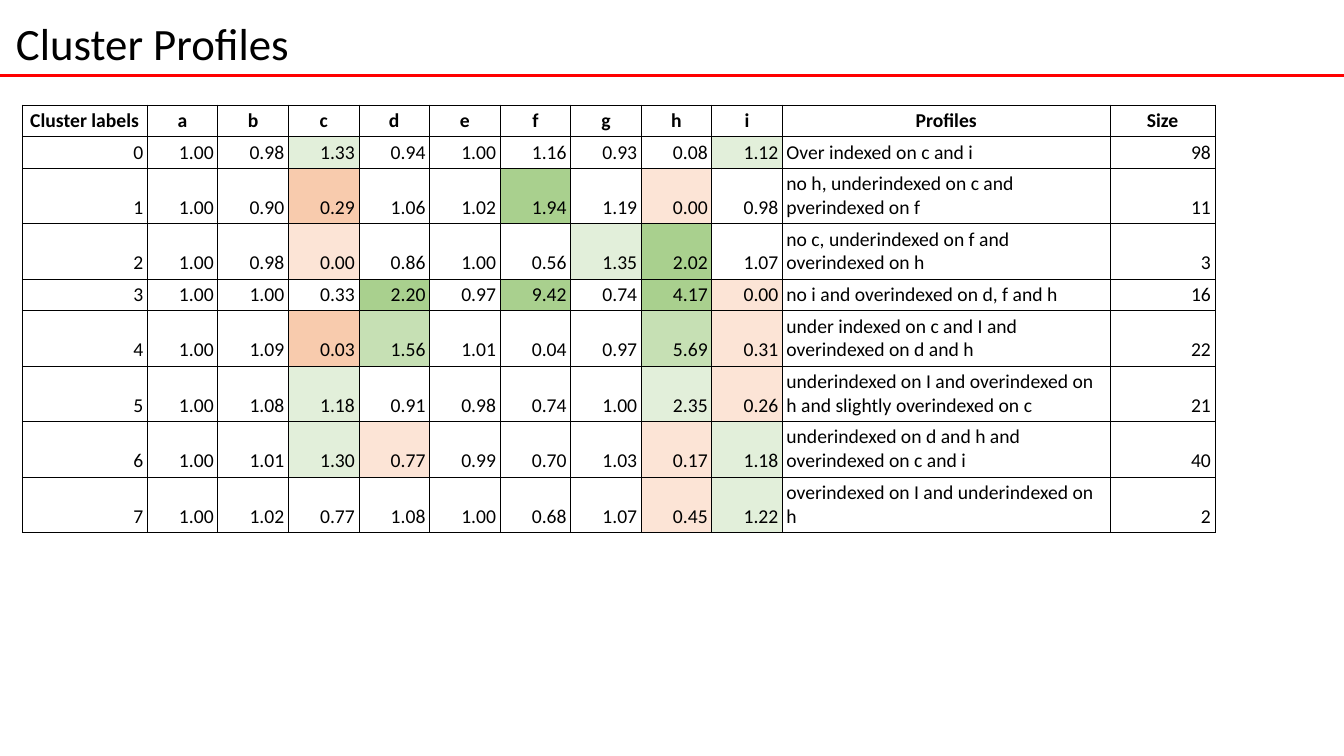
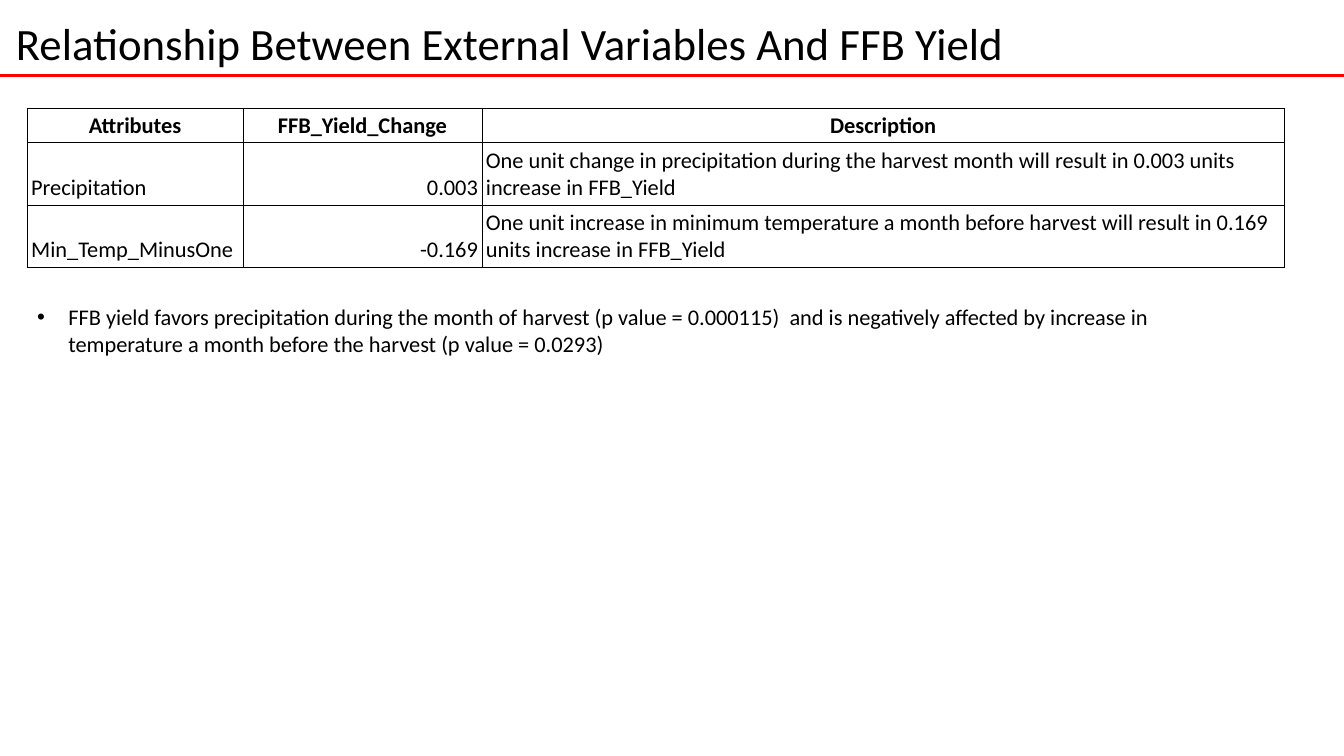
"""Build two slides on cluster profiles and yield drivers."""
from dataclasses import dataclass, field

from lxml.etree import SubElement
from pptx import Presentation
from pptx.dml.color import RGBColor
from pptx.enum.shapes import MSO_CONNECTOR
from pptx.enum.text import MSO_ANCHOR, MSO_AUTO_SIZE, PP_ALIGN
from pptx.oxml.ns import qn
from pptx.slide import Slide
from pptx.table import _Cell as Cell
from pptx.text.text import _Paragraph as Paragraph
from pptx.util import Inches, Pt


@dataclass(frozen=True)
class Theme:
    font: str = "Calibri"
    ink: str = "000000"
    rule: str = "FF0000"
    over: str = "E2EFDA"
    well_over: str = "C6E0B4"
    far_over: str = "A9D08E"
    under: str = "FCE4D6"
    far_under: str = "F8CBAD"
    title_size: int = 32
    body_size: int = 16
    dense_size: int = 14
    rule_width: float = 2.25
    border_width: float = 0.5
    cell_inset: float = 0.04


THEME = Theme()
SLIDE_WIDTH, SLIDE_HEIGHT = 13.33, 7.5
LETTERS = "abcdefghi"


@dataclass(frozen=True)
class Cluster:
    indexes: str
    profile: str
    size: int
    tints: dict[str, str] = field(default_factory=dict)


@dataclass(frozen=True)
class Grid:
    left: float
    top: float
    widths: list[float]
    heights: list[float]
    size: int
    rows: list[list[str]]
    numeric: set[int]
    tints: dict[tuple[int, int], str] = field(default_factory=dict)


CLUSTERS = [
    Cluster("1.00 0.98 1.33 0.94 1.00 1.16 0.93 0.08 1.12",
            "Over indexed on c and i", 98,
            {"c": THEME.over, "i": THEME.over}),
    Cluster("1.00 0.90 0.29 1.06 1.02 1.94 1.19 0.00 0.98",
            "no h, underindexed on c and pverindexed on f", 11,
            {"c": THEME.far_under, "f": THEME.far_over, "h": THEME.under}),
    Cluster("1.00 0.98 0.00 0.86 1.00 0.56 1.35 2.02 1.07",
            "no c, underindexed on f and overindexed on h", 3,
            {"c": THEME.under, "g": THEME.over, "h": THEME.far_over}),
    Cluster("1.00 1.00 0.33 2.20 0.97 9.42 0.74 4.17 0.00",
            "no i and overindexed on d, f and h", 16,
            {"d": THEME.far_over, "f": THEME.far_over,
             "h": THEME.far_over, "i": THEME.under}),
    Cluster("1.00 1.09 0.03 1.56 1.01 0.04 0.97 5.69 0.31",
            "under indexed on c and I and overindexed on d and h", 22,
            {"c": THEME.far_under, "d": THEME.well_over,
             "h": THEME.well_over, "i": THEME.under}),
    Cluster("1.00 1.08 1.18 0.91 0.98 0.74 1.00 2.35 0.26",
            "underindexed on I and overindexed on h and slightly overindexed on c", 21,
            {"c": THEME.over, "h": THEME.over, "i": THEME.under}),
    Cluster("1.00 1.01 1.30 0.77 0.99 0.70 1.03 0.17 1.18",
            "underindexed on d and h and overindexed on c and i", 40,
            {"c": THEME.over, "d": THEME.under, "h": THEME.under, "i": THEME.over}),
    Cluster("1.00 1.02 0.77 1.08 1.00 0.68 1.07 0.45 1.22",
            "overindexed on I and underindexed on h", 2,
            {"h": THEME.under, "i": THEME.over}),
]

PROFILE_GRID = Grid(
    left=0.22, top=1.04,
    widths=[1.24] + [0.7] * len(LETTERS) + [3.25, 1.04],
    heights=[0.31, 0.31, 0.55, 0.55, 0.31] + [0.55] * 4,
    size=THEME.dense_size,
    rows=[["Cluster labels", *LETTERS, "Profiles", "Size"]] + [
        [str(label), *cluster.indexes.split(), cluster.profile, str(cluster.size)]
        for label, cluster in enumerate(CLUSTERS)
    ],
    numeric={*range(len(LETTERS) + 1), len(LETTERS) + 2},
    tints={
        (row, LETTERS.index(letter) + 1): tint
        for row, cluster in enumerate(CLUSTERS, start=1)
        for letter, tint in cluster.tints.items()
    },
)

YIELD_GRID = Grid(
    left=0.27, top=1.07,
    widths=[2.14, 2.37, 7.96],
    heights=[0.34, 0.62, 0.62],
    size=THEME.body_size,
    rows=[
        ["Attributes", "FFB_Yield_Change", "Description"],
        ["Precipitation", "0.003",
         "One unit change in precipitation during the harvest month "
         "will result in 0.003 units increase in FFB_Yield"],
        ["Min_Temp_MinusOne", "-0.169",
         "One unit increase in minimum temperature a month before harvest "
         "will result in 0.169 units increase in FFB_Yield"],
    ],
    numeric={1},
)

YIELD_FINDING = (
    "FFB yield favors precipitation during the month of harvest (p value = 0.000115)  "
    "and is negatively affected by increase in temperature a month before the harvest "
    "(p value = 0.0293)"
)


def add_span(para: Paragraph, text: str, size: int, bold: bool = False) -> None:
    span = para.add_run()
    span.text = text
    span.font.name = THEME.font
    span.font.size = Pt(size)
    span.font.bold = bold
    span.font.color.rgb = RGBColor.from_string(THEME.ink)


def add_page(deck: Presentation, title: str, title_width: float) -> Slide:
    page = deck.slides.add_slide(deck.slide_layouts[6])
    rule = page.shapes.add_connector(
        MSO_CONNECTOR.STRAIGHT, 0, Inches(0.75), Inches(SLIDE_WIDTH), Inches(0.75))
    rule.line.color.rgb = RGBColor.from_string(THEME.rule)
    rule.line.width = Pt(THEME.rule_width)
    SubElement(rule._element.spPr, qn("a:effectLst"))
    box = page.shapes.add_textbox(
        Inches(0.06), Inches(0.11), Inches(title_width), Inches(0.64))
    box.text_frame.word_wrap = False
    box.text_frame.auto_size = MSO_AUTO_SIZE.SHAPE_TO_FIT_TEXT
    add_span(box.text_frame.paragraphs[0], title, THEME.title_size)
    return page


def add_borders(cell: Cell) -> None:
    properties = cell._tc.get_or_add_tcPr()
    for side in ("lnL", "lnR", "lnT", "lnB"):
        border = SubElement(properties, qn(f"a:{side}"), w=str(Pt(THEME.border_width)))
        fill = SubElement(border, qn("a:solidFill"))
        SubElement(fill, qn("a:srgbClr"), val=THEME.ink)


def fill_cell(cell: Cell, text: str, size: int, align: PP_ALIGN,
              bold: bool, tint: str | None) -> None:
    inset = Inches(THEME.cell_inset)
    cell.margin_left = cell.margin_right = inset
    cell.margin_top = cell.margin_bottom = inset
    cell.vertical_anchor = MSO_ANCHOR.BOTTOM
    add_borders(cell)
    if tint:
        cell.fill.solid()
        cell.fill.fore_color.rgb = RGBColor.from_string(tint)
    else:
        cell.fill.background()
    para = cell.text_frame.paragraphs[0]
    para.alignment = align
    add_span(para, text, size, bold)


def add_grid(page: Slide, grid: Grid) -> None:
    table = page.shapes.add_table(
        len(grid.heights), len(grid.widths), Inches(grid.left), Inches(grid.top),
        Inches(sum(grid.widths)), Inches(sum(grid.heights))).table
    table.first_row = table.horz_banding = False
    for column, width in zip(table.columns, grid.widths):
        column.width = Inches(width)
    for row, height in zip(table.rows, grid.heights):
        row.height = Inches(height)
    for row, texts in enumerate(grid.rows):
        for column, text in enumerate(texts):
            header = row == 0
            align = PP_ALIGN.RIGHT if column in grid.numeric else PP_ALIGN.LEFT
            fill_cell(table.cell(row, column), text, grid.size,
                      PP_ALIGN.CENTER if header else align,
                      header, grid.tints.get((row, column)))


def add_bullet(page: Slide, text: str) -> None:
    box = page.shapes.add_textbox(
        Inches(0.27), Inches(2.96), Inches(11.29), Inches(0.94))
    box.text_frame.word_wrap = True
    para = box.text_frame.paragraphs[0]
    properties = para._p.get_or_add_pPr()
    properties.set("marL", str(Inches(0.31)))
    properties.set("indent", str(Inches(-0.31)))
    SubElement(properties, qn("a:buFont"), typeface="Arial")
    SubElement(properties, qn("a:buChar"), char="•")
    add_span(para, text, THEME.body_size)


def main() -> None:
    deck = Presentation()
    deck.slide_width = Inches(SLIDE_WIDTH)
    deck.slide_height = Inches(SLIDE_HEIGHT)
    add_grid(add_page(deck, "Cluster Profiles", 2.94), PROFILE_GRID)
    yield_page = add_page(
        deck, "Relationship Between External Variables And FFB Yield", 10.14)
    add_grid(yield_page, YIELD_GRID)
    add_bullet(yield_page, YIELD_FINDING)
    deck.save("out.pptx")


if __name__ == "__main__":
    main()
